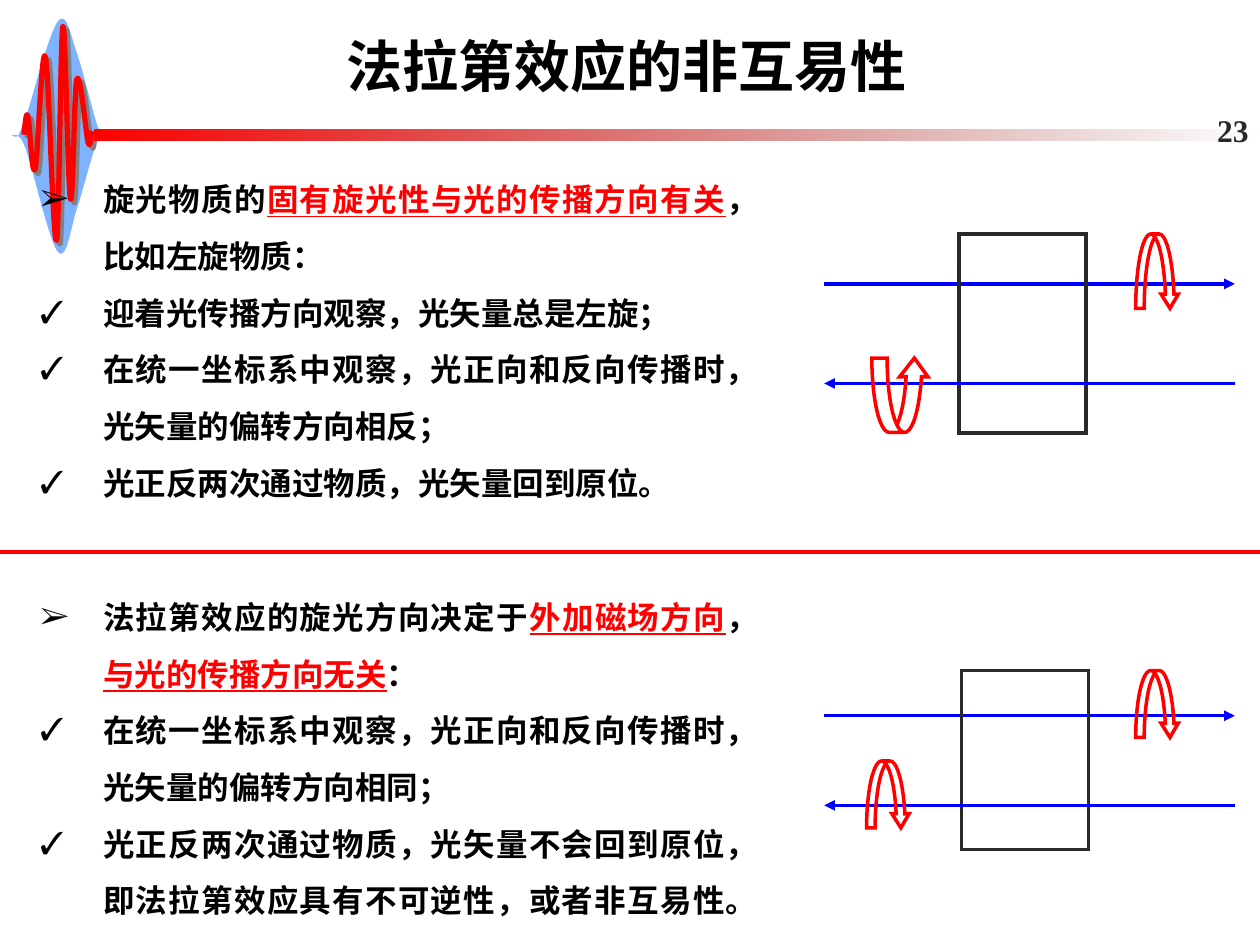
from dataclasses import dataclass

from lxml import etree
from pptx import Presentation
from pptx.dml.color import RGBColor
from pptx.enum.shapes import MSO_CONNECTOR, MSO_SHAPE
from pptx.enum.text import MSO_ANCHOR, PP_ALIGN
from pptx.oxml.ns import qn
from pptx.util import Pt

RECT = MSO_SHAPE.RECTANGLE
DOWN = MSO_SHAPE.CURVED_DOWN_ARROW
UP = MSO_SHAPE.CURVED_UP_ARROW
LINE = MSO_CONNECTOR.STRAIGHT
MID = MSO_ANCHOR.MIDDLE
TOP = MSO_ANCHOR.TOP
LEFT, RIGHT = PP_ALIGN.LEFT, PP_ALIGN.RIGHT
CENTER, JUST = PP_ALIGN.CENTER, PP_ALIGN.JUSTIFY


@dataclass(frozen=True)
class Theme:
    black: str = "000000"
    dark: str = "292929"
    gray: str = "808080"
    red: str = "FF0000"
    maroon: str = "760000"
    blue: str = "0000FF"
    sky: str = "0066FF"
    head: int = 32
    body: int = 18
    latin: str = "Times New Roman"
    cjk: str = "Noto Sans CJK SC"


T = Theme()

HULL = [
    (6.5, 77), (5.8, 76.3), (8.6, 79.2), (10.1, 77.8),
    (10.8, 76.3), (10.1, 79.2), (14.4, 68.4),
    (18, 57.6), (28.1, 18.7), (33.1, 12.2),
    (38.2, 5.8), (40.3, 20.2), (43.9, 30.2),
    (47.5, 40.3), (53.3, 65.5), (56.2, 73.4),
    (59.8, 81.4), (63.4, 76.3), (63.4, 77.8),
    (63.4, 79.2), (59, 74.2), (55.4, 81.4),
    (52.6, 87.8), (47.5, 108.7), (43.9, 119.5),
    (40.3, 130.3), (38.2, 149.8), (33.1, 144),
    (28.1, 138.2), (18.7, 95.8), (14.4, 84.2),
    (10.1, 73.4), (7.2, 78.5), (6.5, 77),
]
WAVE = [
    (13.7, 77), (14.4, 70.6), (15.1, 63.4), (15.8, 66.2),
    (17.3, 69.8), (18, 102.2), (20.2, 96.5),
    (21.6, 90.7), (23.8, 25.2), (25.9, 32.4),
    (28.1, 38.9), (30.2, 140.4), (32.4, 137.5),
    (33.8, 134.6), (34.6, 18.7), (36, 15.1),
    (37.4, 10.8), (38.9, 108.7), (40.3, 113.8),
    (41.8, 118.8), (42.5, 50.4), (43.9, 45.4),
    (46.1, 39.6), (49, 76.3), (50.4, 81.4),
    (51.8, 86.4), (51.8, 76.3), (52.6, 74.9),
]

ARROW, CHECK = "➢", "✓"
POINTS = [
    (ARROW, 0, [("旋光物质的", 0), ("固有旋光性与光的传播方向有关", 1),
                ("，比如左旋物质：", 0)]),
    (CHECK, 0, [("迎着光传播方向观察，光矢量总是左旋；", 0)]),
    (CHECK, 0, [("在统一坐标系中观察，光正向和反向传播时，光矢量的偏转方向相反；", 0)]),
    (CHECK, 0, [("光正反两次通过物质，光矢量回到原位。", 0)]),
    (ARROW, 44.3, [("法拉第效应的旋光方向决定于", 0), ("外加磁场方向", 1), ("，", 0),
                   ("与光的传播方向无关", 1), ("：", 0)]),
    (CHECK, 0, [("在统一坐标系中观察，光正向和反向传播时，光矢量的偏转方向相同；", 0)]),
    (CHECK, 0, [("光正反两次通过物质，光矢量不会回到原位，即法拉第效应具有不可逆性，或者非互易性。", 0)]),
]


def rgb(code):
    return RGBColor.from_string(code)


def sub(node, tag, **attrs):
    return etree.SubElement(node, qn(tag), attrs)


def fade(node, alpha):
    for clr in node.iter(qn("a:srgbClr")):
        sub(clr, "a:alpha", val=str(alpha * 1000))


def write(para, text, size=T.body, color=T.black, font=T.latin, under=False):
    run = para.add_run()
    run.text = text
    run.font.size = Pt(size)
    run.font.bold = True
    if under:
        run.font.underline = True
    run.font.color.rgb = rgb(color)
    run.font.name = font
    sub(run.font._element, "a:ea", typeface=T.cjk)


def place(shape, x, y, w, h):
    shape.left, shape.top, shape.width, shape.height = map(Pt, (x, y, w, h))


def frame(shape, anchor=TOP, align=LEFT):
    body = shape.text_frame
    body.word_wrap = True
    body.vertical_anchor = anchor
    body.paragraphs[0].alignment = align
    return body


def bullet(para, mark, gap):
    props = para._p.get_or_add_pPr()
    props.set("marL", str(Pt(36)))
    props.set("indent", str(Pt(-36)))
    sub(sub(props, "a:buClr"), "a:srgbClr", val=T.black)
    sub(props, "a:buFont", typeface=T.latin)
    sub(props, "a:buChar", char=mark)
    para.alignment = JUST
    para.line_spacing = 1.5
    if gap:
        para.space_before = Pt(gap)


def points(slide):
    box = slide.shapes.add_textbox(Pt(15.8), Pt(88.6), Pt(406.3), Pt(440.6))
    body = frame(box)
    for i, (mark, gap, parts) in enumerate(POINTS):
        para = body.add_paragraph() if i else body.paragraphs[0]
        bullet(para, mark, gap)
        for text, key in parts:
            write(para, text, color=T.red if key else T.black, under=key)


def outline(slide, kind, x, y, w, h, color, adj=()):
    shape = slide.shapes.add_shape(kind, Pt(x), Pt(y), Pt(w), Pt(h))
    shape.shadow.inherit = False
    shape.fill.background()
    shape.line.color.rgb = rgb(color)
    shape.line.width = Pt(2)
    sub(shape.line._get_or_add_ln(), "a:miter", lim="800000")
    for i, val in enumerate(adj):
        shape.adjustments[i] = val


def line(slide, x1, x2, y, color, width=2, head=False):
    item = slide.shapes.add_connector(LINE, Pt(x1), Pt(y), Pt(x2), Pt(y))
    item.line.color.rgb = rgb(color)
    item.line.width = Pt(width)
    if head:
        sub(item.line._get_or_add_ln(), "a:tailEnd", type="triangle")
    sub(item._element.spPr, "a:effectLst")


def curve(slide, nodes, close):
    dots = [(Pt(x), Pt(y)) for x, y in nodes]
    pen = slide.shapes.build_freeform(*dots[0])
    pen.add_line_segments(dots[1:], close=close)
    shape = pen.convert_to_shape()
    shape.shadow.inherit = False
    legs = list(shape._element.iter(qn("a:lnTo")))
    for i in range(0, len(dots) - 1, 3):
        bend = etree.Element(qn("a:cubicBezTo"))
        legs[i].addprevious(bend)
        for leg in legs[i:i + 3]:
            bend.append(leg[0])
            leg.getparent().remove(leg)
    return shape


def pulse(slide):
    hull = curve(slide, HULL, True)
    hull.fill.solid()
    hull.fill.fore_color.rgb = rgb(T.sky)
    fade(hull._element.spPr, 50)
    hull.line.fill.background()
    wave = curve(slide, WAVE, False)
    wave.fill.background()
    wave.line.color.rgb = rgb(T.red)
    wave.line.width = Pt(3)
    glow = wave._element.spPr.find(qn("a:effectLst"))
    cast = sub(glow, "a:outerShdw", dist=str(Pt(2.8)), dir="2700000")
    sub(cast, "a:srgbClr", val=T.gray)


def band(slide):
    bar = slide.shapes.add_shape(RECT, Pt(54), Pt(73.8), Pt(666), Pt(6.3))
    bar.shadow.inherit = False
    bar.line.fill.background()
    bar.fill.gradient()
    bar.fill.gradient_angle = 0
    stops = bar.fill.gradient_stops
    for stop, pos, color in zip(stops, (0, 1), (T.red, T.maroon)):
        stop.position = pos
        stop.color.rgb = rgb(color)
    fade(stops[1]._gs, 0)


def medium(slide, x, y, h, rays, turn, back):
    go, come = rays
    line(slide, 471, 705.6, go, T.blue, head=True)
    outline(slide, RECT, x, y, 72.7, h, T.dark)
    outline(slide, DOWN, 649, y, 24.5, turn, T.red, (0.2, 0.4, 0.33))
    line(slide, 705.6, 471, come, T.blue, head=True)
    kind, left, top, wide, adj = back
    outline(slide, kind, left, top, wide, turn, T.red, adj)


def main():
    deck = Presentation()
    deck.slide_width, deck.slide_height = Pt(720), Pt(540)
    slide = deck.slides.add_slide(deck.slide_layouts[5])
    pulse(slide)
    band(slide)
    points(slide)

    title = slide.shapes.title
    place(title, 76.3, 9, 563.8, 56.9)
    write(frame(title, MID, CENTER).paragraphs[0], "法拉第效应的非互易性",
          size=T.head, font=T.cjk)
    page = slide.shapes.add_textbox(Pt(658), Pt(65.5), Pt(62.6), Pt(17.3))
    write(frame(page, MID, RIGHT).paragraphs[0], "23", color=T.dark)

    medium(slide, 549.4, 383.2, 102.2, (409, 460.2), 38.2,
           (DOWN, 495.2, 434.9, 24.5, (0.2, 0.4, 0.33)))
    medium(slide, 547.9, 133.7, 113.8, (162.2, 219.1), 42.5,
           (UP, 498.2, 204.6, 32.4, (0.27, 0.53, 0.33)))
    line(slide, 0, 720, 315.4, T.red, width=2.25)
    deck.save("out.pptx")


if __name__ == "__main__":
    main()
